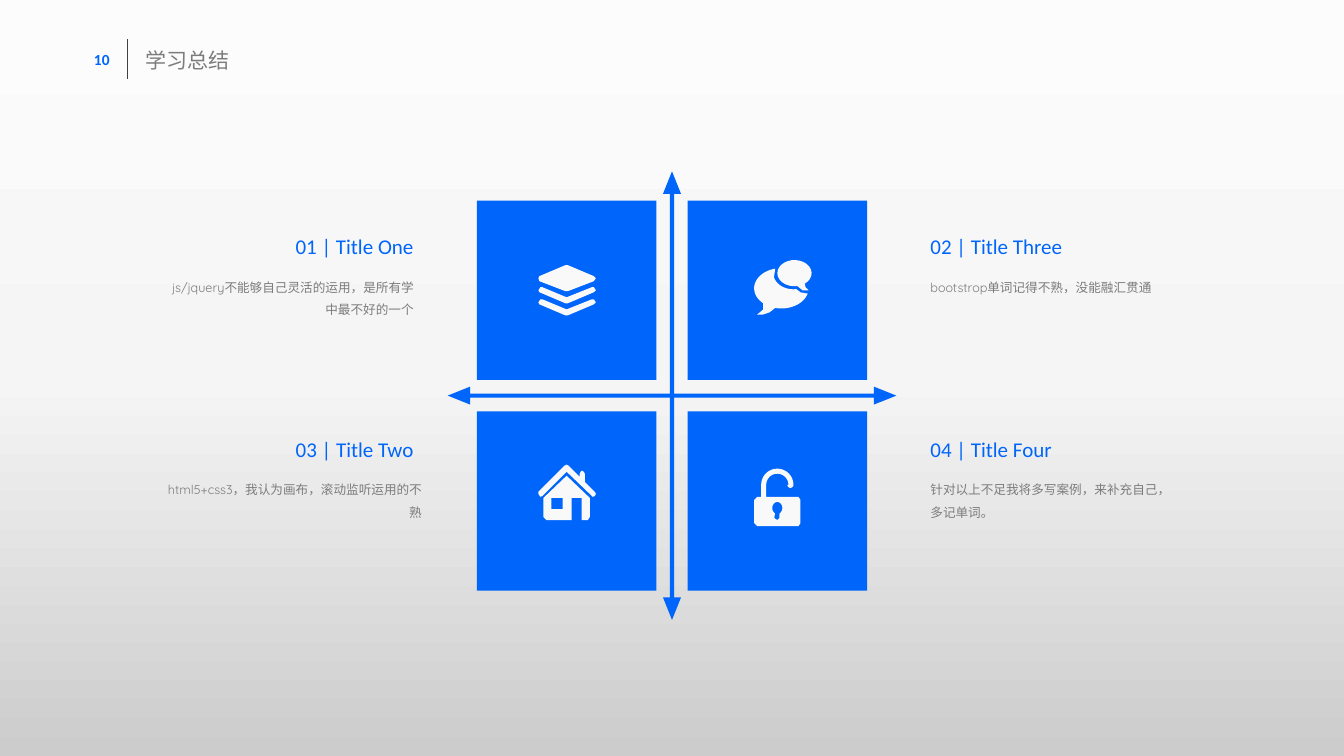
from copy import deepcopy
from math import cos, radians, sin

from pptx import Presentation
from pptx.dml.color import RGBColor
from pptx.enum.shapes import MSO_CONNECTOR, MSO_SHAPE
from pptx.enum.text import MSO_ANCHOR, MSO_AUTO_SIZE, PP_ALIGN
from pptx.oxml import parse_xml
from pptx.oxml.ns import nsdecls, qn
from pptx.util import Inches, Pt

LEFT, CENTER, RIGHT = PP_ALIGN.LEFT, PP_ALIGN.CENTER, PP_ALIGN.RIGHT
RECTANGLE, QUAD_ARROW = MSO_SHAPE.RECTANGLE, MSO_SHAPE.QUAD_ARROW
BLUE, GRAY, ICON, DIVIDER = "0065FA", "7C7C7C", "F9F9F9", "404040"
HEADING_FONT, BODY_FONT = "Calibri", "Quicksand"
TITLE_ONLY = 5


def color(value):
    return RGBColor.from_string(value)


def arc(x, y, radius_x, radius_y, start, end, steps=24):
    """Return points on an ellipse; degrees run clockwise from the right."""
    angles = [radians(start + (end - start) * i / steps) for i in range(steps + 1)]
    return [(x + radius_x * cos(a), y + radius_y * sin(a)) for a in angles]


def box(left, top, right, bottom):
    return [(left, top), (right, top), (right, bottom), (left, bottom)]


class SlideBuilder:
    """Draws styled elements on one slide."""

    def __init__(self, slide):
        self.slide = slide
        self.shapes = slide.shapes

    def background(self, stops):
        fill = self.slide.background.fill
        fill.gradient()
        fill.gradient_angle = 270
        stop_list = self.slide.element.find(".//" + qn("a:gsLst"))
        while len(stop_list) < len(stops):
            stop_list.append(deepcopy(stop_list[0]))
        for stop, (position, value) in zip(fill.gradient_stops, stops):
            stop.position = position
            stop.color.rgb = color(value)

    def paint(self, shape, fill):
        shape.shadow.inherit = False
        shape.fill.solid()
        shape.fill.fore_color.rgb = color(fill)
        shape.line.fill.background()

    def shape(self, kind, left, top, width, height, adjustments=()):
        shape = self.shapes.add_shape(
            kind, Inches(left), Inches(top), Inches(width), Inches(height))
        for index, value in enumerate(adjustments):
            shape.adjustments[index] = value
        self.paint(shape, BLUE)

    def icon(self, contours):
        """Draw closed contours as one outline; inner contours become holes."""
        paths = [[(Inches(x), Inches(y)) for x, y in contour] for contour in contours]
        builder = self.shapes.build_freeform(*paths[0][0], scale=1.0)
        for index, path in enumerate(paths):
            if index:
                builder.move_to(*path[0])
            builder.add_line_segments(path[1:], close=True)
        self.paint(builder.convert_to_shape(), ICON)

    def divider(self, x, top, bottom):
        line = self.shapes.add_connector(
            MSO_CONNECTOR.STRAIGHT, Inches(x), Inches(top), Inches(x), Inches(bottom))
        line.line.color.rgb = color(DIVIDER)
        line.line.width = Pt(0.5)
        properties = line._element.spPr
        properties.append(parse_xml(f"<a:effectLst {nsdecls('a')}/>"))

    def format_text(self, shape, text, size, font, value, align,
                    spacing=1.0, bold=False, wrap=True):
        frame = shape.text_frame
        frame.text = text
        frame.word_wrap = wrap
        frame.auto_size = MSO_AUTO_SIZE.SHAPE_TO_FIT_TEXT
        frame.vertical_anchor = MSO_ANCHOR.TOP
        paragraph = frame.paragraphs[0]
        paragraph.alignment = align
        paragraph.line_spacing = spacing
        run = paragraph.runs[0]
        run.font.size = Pt(size)
        run.font.name = font
        run.font.bold = bold
        run.font.color.rgb = color(value)

    def text(self, left, top, width, height, *style, **options):
        shape = self.shapes.add_textbox(
            Inches(left), Inches(top), Inches(width), Inches(height))
        self.format_text(shape, *style, **options)

    def title(self, left, top, width, height, text):
        shape = self.shapes.title
        shape.left, shape.top = Inches(left), Inches(top)
        shape.width, shape.height = Inches(width), Inches(height)
        self.format_text(shape, text, 15, HEADING_FONT, GRAY, LEFT)


CHEVRON = [(5.35, 2.9), (5.34, 2.88), (5.36, 2.85), (5.38, 2.85), (5.62, 2.95),
           (5.87, 2.85), (5.89, 2.85), (5.91, 2.88), (5.89, 2.9), (5.63, 3.01),
           (5.61, 3.01)]
LAYERS = [
    [(5.34, 2.76), (5.35, 2.74), (5.61, 2.63), (5.63, 2.63), (5.89, 2.74),
     (5.91, 2.76), (5.89, 2.79), (5.63, 2.89), (5.61, 2.89), (5.35, 2.79)],
    CHEVRON,
    [(x, y + 0.12) for x, y in CHEVRON],
]
SPEECH_BUBBLES = [
    arc(7.88, 2.71, 0.17, 0.13, 80, 413)
    + [(7.99, 2.85), (8.02, 2.88), (7.96, 2.88)],
    arc(7.75, 2.86, 0.27, 0.2, 15, 103)
    + [(7.63, 3.1), (7.57, 3.12), (7.51, 3.12), (7.57, 3.07), (7.57, 3.01)]
    + arc(7.75, 2.86, 0.27, 0.2, 132, 257)
    + arc(7.87, 2.71, 0.2, 0.16, 165, 82)
    + [(7.94, 2.9), (7.99, 2.91)],
]
HOUSE = [
    [(5.34, 4.9), (5.34, 4.88), (5.6, 4.62), (5.62, 4.61), (5.64, 4.62),
     (5.75, 4.73), (5.75, 4.7), (5.76, 4.68), (5.77, 4.67), (5.79, 4.68),
     (5.8, 4.7), (5.8, 4.78), (5.9, 4.88), (5.91, 4.9), (5.9, 4.92),
     (5.88, 4.93), (5.87, 4.92), (5.62, 4.68), (5.38, 4.92), (5.36, 4.93)],
    [(5.85, 4.94), (5.85, 5.13), (5.83, 5.16), (5.77, 5.16), (5.77, 4.94),
     (5.67, 4.94), (5.67, 5.16), (5.42, 5.16), (5.39, 5.13), (5.39, 4.94),
     (5.62, 4.72)],
    box(5.47, 4.94, 5.58, 5.05),
]
OPEN_LOCK = [
    [(7.51, 5.22), (7.48, 5.19), (7.48, 4.96), (7.51, 4.93), (7.55, 4.93)]
    + arc(7.71, 4.81, 0.16, 0.16, 180, 360)
    + arc(7.84, 4.81, 0.03, 0.03, 0, 180)
    + arc(7.71, 4.81, 0.11, 0.11, 360, 180)
    + [(7.6, 4.93), (7.92, 4.93), (7.94, 4.96), (7.94, 5.19), (7.92, 5.22)],
    arc(7.71, 5.04, 0.05, 0.06, 117, 423)
    + [(7.73, 5.14), (7.71, 5.16), (7.68, 5.14)],
]

# Heading, heading left and width, body, body left and width, alignment, row top
NOTES = [
    ("02 | Title Three", 9.13, 2.91,
     "bootstrop单词记得不熟，没能融汇贯通", 9.13, 2.66, LEFT, 2.27),
    ("04 | Title Four", 9.13, 2.91,
     "针对以上不足我将多写案例，来补充自己，多记单词。", 9.13, 2.66, LEFT, 4.28),
    ("01 | Title One", 1.54, 2.66,
     "js/jquery不能够自己灵活的运用，是所有学中最不好的一个", 1.54, 2.66, RIGHT, 2.27),
    ("03 | Title Two", 1.73, 2.47,
     "html5+css3，我认为画布，滚动监听运用的不熟", 1.54, 2.74, RIGHT, 4.28),
]


def main():
    presentation = Presentation()
    presentation.slide_width = Inches(13.33)
    presentation.slide_height = Inches(7.5)
    layout = presentation.slide_layouts[TITLE_ONLY]
    builder = SlideBuilder(presentation.slides.add_slide(layout))

    builder.background([(0, "FCFCFC"), (0.5, "F5F5F5"), (1, "CCCCCC")])
    builder.text(0.82, 0.45, 0.38, 0.29, "10", 11, HEADING_FONT, BLUE, CENTER,
                 bold=True, wrap=False)
    builder.divider(1.26, 0.39, 0.78)
    builder.title(1.34, 0.42, 1.98, 0.35, "学习总结")

    builder.shape(QUAD_ARROW, 4.44, 1.7, 4.45, 4.45, (0.009, 0.02, 0.05))
    for top in (1.99, 4.08):
        for left in (4.73, 6.82):
            builder.shape(RECTANGLE, left, top, 1.78, 1.78)
    for contours in (LAYERS, SPEECH_BUBBLES, HOUSE, OPEN_LOCK):
        builder.icon(contours)

    for heading, left, width, body, body_left, body_width, align, top in NOTES:
        builder.text(left, top, width, 0.35, heading, 15, HEADING_FONT, BLUE, align)
        builder.text(body_left, top + 0.38, body_width, 0.55, body, 9, BODY_FONT,
                     GRAY, align, spacing=1.5)
    presentation.save("out.pptx")


if __name__ == "__main__":
    main()
